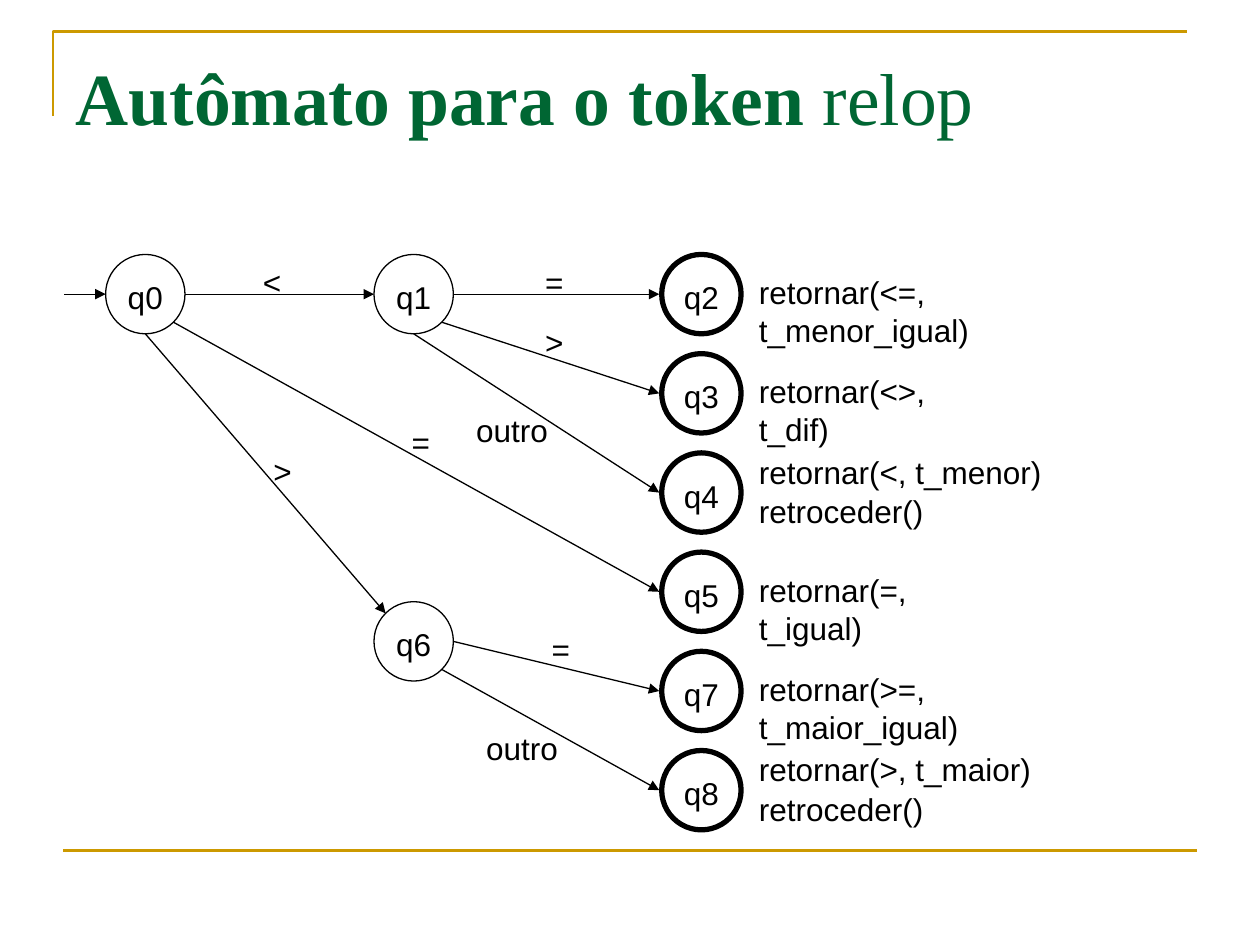
from math import cos, radians, sin

from lxml.etree import SubElement
from pptx import Presentation
from pptx.dml.color import RGBColor
from pptx.enum.shapes import MSO_CONNECTOR, MSO_SHAPE
from pptx.enum.text import MSO_ANCHOR, MSO_AUTO_SIZE, PP_ALIGN
from pptx.oxml.ns import qn
from pptx.util import Cm, Pt

BLACK = RGBColor(0x00, 0x00, 0x00)
GOLD = RGBColor(0xCC, 0x99, 0x00)
GREEN = RGBColor(0x00, 0x66, 0x33)

RADIUS = 0.8
FIRST_ROW, ROW_STEP = 5.93, 2
START_X, MIDDLE_X, FINAL_X = 2.93, 8.34, 14.14
ACTION_X = 15.05
RIGHT, LOWER_RIGHT, BOTTOM, LEFT, UPPER_LEFT = 0, 45, 90, 180, 225

STATES = {
    "q0": (START_X, 0), "q1": (MIDDLE_X, 0), "q6": (MIDDLE_X, 3.5),
    "q2": (FINAL_X, 0), "q3": (FINAL_X, 1), "q4": (FINAL_X, 2),
    "q5": (FINAL_X, 3), "q7": (FINAL_X, 4), "q8": (FINAL_X, 5),
}
TRANSITIONS = [
    ("q0", RIGHT, "q1", LEFT, "<", 5.05, 5.11),
    ("q1", RIGHT, "q2", LEFT, "=", 10.74, 5.11),
    ("q1", LOWER_RIGHT, "q3", LEFT, ">", 10.74, 6.32),
    ("q1", BOTTOM, "q4", LEFT, "outro", 9.35, 8.1),
    ("q0", LOWER_RIGHT, "q5", LEFT, "=", 8.05, 8.33),
    ("q0", BOTTOM, "q6", UPPER_LEFT, ">", 5.26, 8.92),
    ("q6", RIGHT, "q7", LEFT, "=", 10.87, 12.52),
    ("q6", LOWER_RIGHT, "q8", LEFT, "outro", 9.55, 14.5),
]
ACTIONS = [
    (8.26, ["retornar(<=, t_menor_igual)"]),
    (5.44, ["retornar(<>, t_dif)"]),
    (6.2, ["retornar(<, t_menor)", "retroceder()"]),
    (5.74, ["retornar(=, t_igual)"]),
    (8.05, ["retornar(>=, t_maior_igual)"]),
    (5.99, ["retornar(>, t_maior)", "retroceder()"]),
]


def write(para, text, *, size=18, font="Arial", color=BLACK, bold=False):
    """Add a formatted span of text to a paragraph."""
    span = para.add_run()
    span.text = text
    span.font.size = Pt(size)
    span.font.name = font
    span.font.bold = bold
    span.font.color.rgb = color


def set_margins(frame):
    """Let text sit slightly low in an unwrapped frame."""
    frame.word_wrap = False
    frame.margin_left = frame.margin_right = Cm(0.25)
    frame.margin_top, frame.margin_bottom = Cm(0.19), Cm(0.07)


def add_title(page):
    """Fill the title placeholder."""
    box = page.shapes.title
    box.left, box.top, box.width, box.height = Cm(1.27), Cm(0.76), Cm(22.86), Cm(3.18)
    frame = box.text_frame
    frame.vertical_anchor = MSO_ANCHOR.TOP
    frame.auto_size = MSO_AUTO_SIZE.NONE
    frame.margin_top = Cm(0.28)
    para = frame.paragraphs[0]
    para.alignment = PP_ALIGN.LEFT
    style = {"size": 42, "font": "Times New Roman", "color": GREEN}
    write(para, "Autômato para o token ", bold=True, **style)
    write(para, "relop", **style)


def add_corner(page):
    """Draw the open gold corner around the title."""
    builder = page.shapes.build_freeform(Cm(1.07), Cm(2.33))
    builder.add_line_segments(
        [(Cm(1.07), Cm(0.63)), (Cm(23.93), Cm(0.63))], close=False)
    corner = builder.convert_to_shape()
    corner.shadow.inherit = False
    corner.fill.background()
    corner.line.color.rgb = GOLD
    corner.line.width = Pt(1.5)


def add_line(page, begin, end, *, color=BLACK, width=0.75, arrow=True):
    """Draw a straight line between two points in centimetres."""
    line = page.shapes.add_connector(
        MSO_CONNECTOR.STRAIGHT, *(Cm(value) for value in (*begin, *end)))
    line.line.color.rgb = color
    line.line.width = Pt(width)
    if arrow:
        SubElement(line.line._get_or_add_ln(), qn("a:tailEnd"), type="triangle")
    SubElement(line._element.spPr, qn("a:effectLst"))


def state_center(name):
    """Return the centre of a state in centimetres."""
    x, row = STATES[name]
    return x, FIRST_ROW + row * ROW_STEP


def rim_point(name, angle):
    """Return the point of a state's outer rim at an angle in degrees."""
    x, y = state_center(name)
    reach = RADIUS + (0.05 if x == FINAL_X else 0)
    return x + reach * cos(radians(angle)), y + reach * sin(radians(angle))


def add_state(page, name):
    """Draw a state, with a thick rim when it is final."""
    x, y = state_center(name)
    circle = page.shapes.add_shape(
        MSO_SHAPE.OVAL, Cm(x - RADIUS), Cm(y - RADIUS), Cm(2 * RADIUS), Cm(2 * RADIUS))
    circle.shadow.inherit = False
    circle.fill.background()
    circle.line.color.rgb = BLACK
    circle.line.width = Pt(3 if x == FINAL_X else 0.75)
    frame = circle.text_frame
    set_margins(frame)
    frame.vertical_anchor = MSO_ANCHOR.MIDDLE
    para = frame.paragraphs[0]
    para.alignment = PP_ALIGN.CENTER
    write(para, name)


def add_label(page, lines, left, top, width, height=1.02):
    """Add a text box with one paragraph per line."""
    box = page.shapes.add_textbox(Cm(left), Cm(top), Cm(width), Cm(height))
    frame = box.text_frame
    set_margins(frame)
    frame.auto_size = MSO_AUTO_SIZE.SHAPE_TO_FIT_TEXT
    for index, text in enumerate(lines):
        para = frame.add_paragraph() if index else frame.paragraphs[0]
        if index:
            para.space_before = Pt(1)
        write(para, text)


def main():
    """Build the deck and save it."""
    deck = Presentation()
    deck.slide_width, deck.slide_height = Cm(25.4), Cm(19.05)
    page = deck.slides.add_slide(deck.slide_layouts[5])
    add_corner(page)
    add_line(page, (1.27, 17.15), (24.13, 17.15), color=GOLD, width=1.5, arrow=False)
    add_title(page)
    for name in STATES:
        add_state(page, name)
    add_line(page, (1.3, FIRST_ROW), rim_point("q0", LEFT))
    for source, exit_angle, target, entry_angle, symbol, left, top in TRANSITIONS:
        add_line(page, rim_point(source, exit_angle), rim_point(target, entry_angle))
        add_label(page, [symbol], left, top, 1.96 if symbol == "outro" else 0.86)
    for row, (width, lines) in enumerate(ACTIONS):
        height = 0.26 + 0.76 * len(lines)
        top = FIRST_ROW + row * ROW_STEP - 0.1 - height / 2
        add_label(page, lines, ACTION_X, top, width, height)
    deck.save("out.pptx")


if __name__ == "__main__":
    main()
